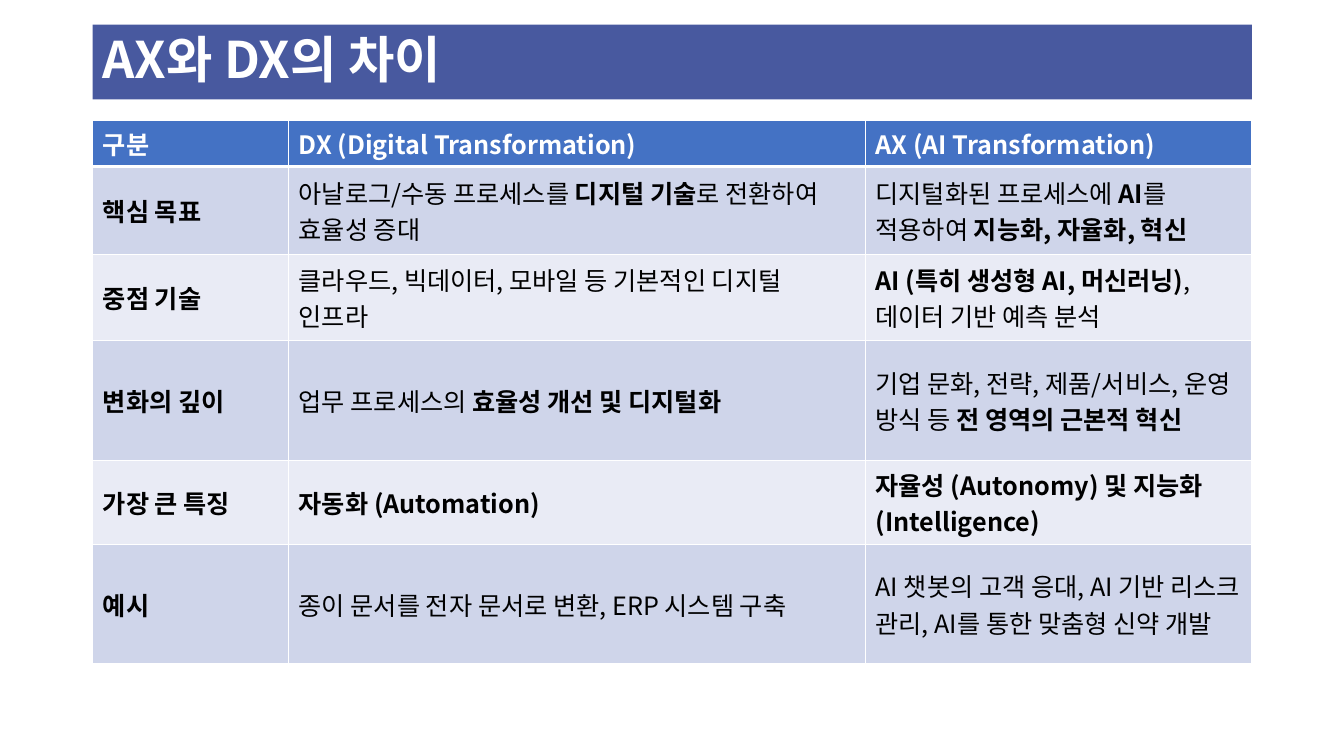
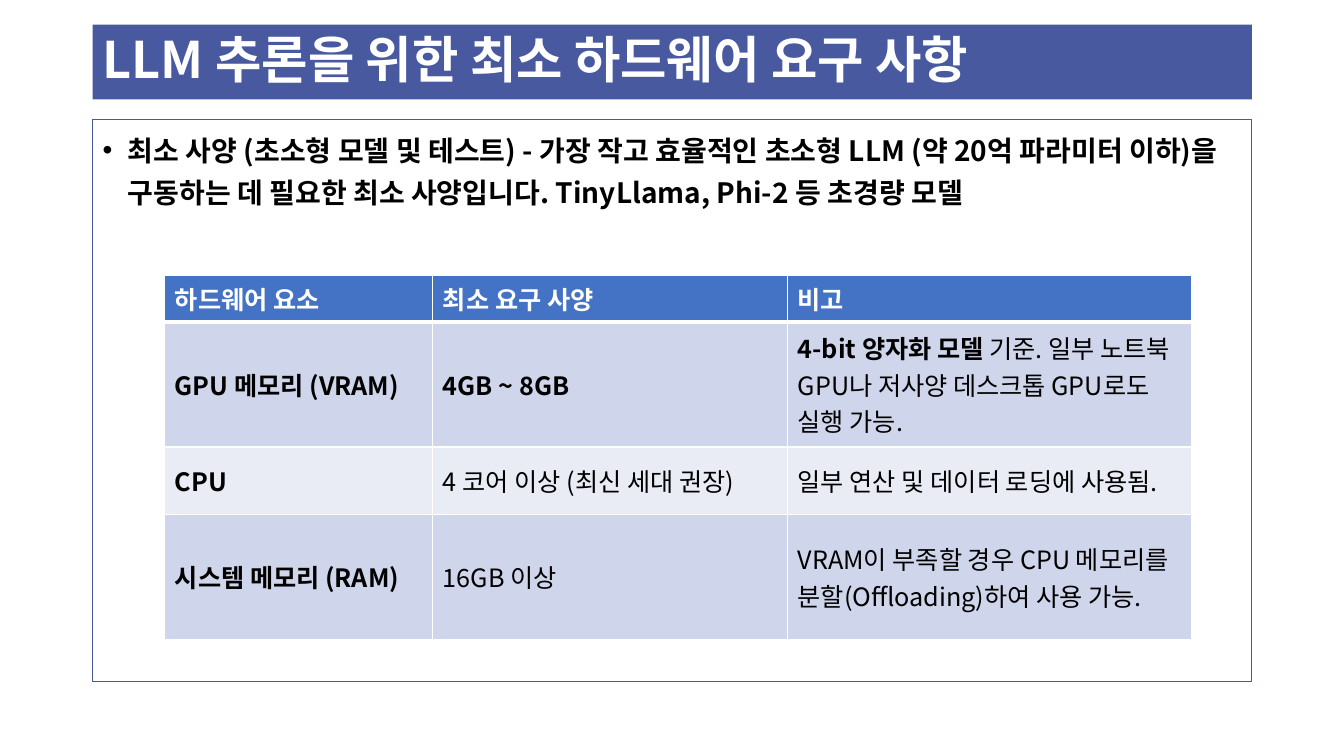
from lxml.etree import SubElement
from pptx import Presentation
from pptx.dml.color import RGBColor
from pptx.enum.shapes import MSO_SHAPE
from pptx.enum.text import MSO_ANCHOR, PP_ALIGN
from pptx.oxml import parse_xml
from pptx.oxml.ns import nsdecls, qn
from pptx.util import Pt

FONT = "Noto Sans CJK KR"
INDIGO, HEADER_BLUE = "48599F", "4472C4"
BANDS = ["CFD5EA", "E9EBF5"]
WHITE, BLACK = "FFFFFF", "000000"
LEFT, WIDTH = 66.24, 828
TITLE_TOP, TITLE_HEIGHT = 17.6, 53.4
CONTENT_TOP = 85.7


def paint(color_holder, hex_color):
    """Colour a fill, or the text of a font."""
    if hasattr(color_holder, "solid"):
        color_holder.solid()
        color_holder.fore_color.rgb = RGBColor.from_string(hex_color)
    else:
        color_holder.color.rgb = RGBColor.from_string(hex_color)


def write(paragraph, text, size, color, bold=False):
    """Add runs; each ** switches between plain and bold."""
    for piece in text.split("**"):
        if piece:
            run = paragraph.add_run()
            run.text = piece
            run.font.name = FONT
            run.font.size = Pt(size)
            run.font.bold = bold
            paint(run.font, color)
            SubElement(run.font._element, qn("a:ea"), typeface=FONT)
        bold = not bold


slides = [
    {
        "title": "AX와 DX의 차이",
        "table_at": (LEFT, CONTENT_TOP),
        "columns": [140, 412, 276],
        "rows": [33, 63, 61, 86, 60, 85],
        "cells": [
            ["**구분", "**DX (Digital Transformation)", "**AX (AI Transformation)"],
            ["**핵심 목표",
             "아날로그/수동 프로세스를 **디지털 기술**로 전환하여 효율성 증대",
             "디지털화된 프로세스에 **AI**를 적용하여 **지능화, 자율화, 혁신"],
            ["**중점 기술",
             "클라우드, 빅데이터, 모바일 등 기본적인 디지털 인프라",
             "**AI (특히 생성형 AI, 머신러닝)**, 데이터 기반 예측 분석"],
            ["**변화의 깊이",
             "업무 프로세스의 **효율성 개선 및 디지털화",
             "기업 문화, 전략, 제품/서비스, 운영 방식 등 **전 영역의 근본적 혁신"],
            ["**가장 큰 특징",
             "**자동화 (Automation)",
             "**자율성 (Autonomy) 및 지능화 (Intelligence)"],
            ["**예시",
             "종이 문서를 전자 문서로 변환, ERP 시스템 구축",
             "AI 챗봇의 고객 응대, AI 기반 리스크 관리, AI를 통한 맞춤형 신약 개발"],
        ],
    },
    {
        "title": "LLM 추론을 위한 최소 하드웨어 요구 사항",
        "summary": "최소 사양 (초소형 모델 및 테스트) - 가장 작고 효율적인 초소형 LLM "
                   "(약 20억 파라미터 이하)을 구동하는 데 필요한 최소 사양입니다. "
                   "TinyLlama, Phi-2 등 초경량 모델",
        "table_at": (117.7, 196.5),
        "columns": [191.5, 253.5, 288.5],
        "rows": [33, 89.5, 48, 89.5],
        "cells": [
            ["**하드웨어 요소", "**최소 요구 사양", "**비고"],
            ["**GPU 메모리 (VRAM)", "**4GB ~ 8GB",
             "**4-bit 양자화 모델** 기준. 일부 노트북 GPU나 저사양 데스크톱 GPU로도 실행 가능."],
            ["**CPU", "4 코어 이상 (최신 세대 권장)", "일부 연산 및 데이터 로딩에 사용됨."],
            ["**시스템 메모리 (RAM)", "16GB 이상",
             "VRAM이 부족할 경우 CPU 메모리를 분할(Offloading)하여 사용 가능."],
        ],
    },
]

prs = Presentation()
prs.slide_width, prs.slide_height = Pt(960), Pt(540)

for content in slides:
    slide = prs.slides.add_slide(prs.slide_layouts[6])

    # Title band
    band = slide.shapes.add_shape(MSO_SHAPE.RECTANGLE, Pt(LEFT), Pt(TITLE_TOP),
                                  Pt(WIDTH), Pt(TITLE_HEIGHT))
    band.shadow.inherit = False
    paint(band.fill, INDIGO)
    band.line.fill.background()
    band.text_frame.word_wrap = True
    band.text_frame.vertical_anchor = MSO_ANCHOR.MIDDLE
    title = band.text_frame.paragraphs[0]
    title.alignment = PP_ALIGN.LEFT
    title.line_spacing = 0.9
    write(title, content["title"], 36, WHITE, bold=True)

    # Framed summary with a bullet
    if "summary" in content:
        frame = slide.shapes.add_shape(MSO_SHAPE.RECTANGLE, Pt(LEFT), Pt(CONTENT_TOP),
                                       Pt(WIDTH), Pt(401))
        frame.shadow.inherit = False
        frame.fill.background()
        paint(frame.line.fill, INDIGO)
        frame.line.width = Pt(0.75)
        frame.text_frame.word_wrap = True
        frame.text_frame.vertical_anchor = MSO_ANCHOR.TOP
        summary = frame.text_frame.paragraphs[0]
        properties = summary._p.get_or_add_pPr()
        properties.set("marL", str(Pt(18)))
        properties.set("indent", str(-Pt(18)))
        SubElement(properties, qn("a:buFont"), typeface="Arial")
        SubElement(properties, qn("a:buChar"), char="•")
        summary.alignment = PP_ALIGN.LEFT
        summary.line_spacing = 1.25
        write(summary, content["summary"], 20, BLACK, bold=True)

    # Table
    columns, rows = content["columns"], content["rows"]
    left, top = content["table_at"]
    table = slide.shapes.add_table(len(rows), len(columns), Pt(left), Pt(top),
                                   Pt(sum(columns)), Pt(sum(rows))).table
    for column, width in zip(table.columns, columns):
        column.width = Pt(width)
    for r, (height, texts) in enumerate(zip(rows, content["cells"])):
        table.rows[r].height = Pt(height)
        for c, text in enumerate(texts):
            cell = table.cell(r, c)
            cell.vertical_anchor = MSO_ANCHOR.MIDDLE
            paint(cell.fill, BANDS[(r - 1) % 2] if r else HEADER_BLUE)
            write(cell.text_frame.paragraphs[0], text, 18, BLACK if r else WHITE)

            # White rules, thicker under the header
            borders = {"lnL": 1, "lnR": 1, "lnT": 3 if r == 1 else 1, "lnB": 1 if r else 3}
            for position, (side, weight) in enumerate(borders.items()):
                cell._tc.get_or_add_tcPr().insert(position, parse_xml(
                    f'<a:{side} {nsdecls("a")} w="{Pt(weight)}"><a:solidFill>'
                    f'<a:srgbClr val="{WHITE}"/></a:solidFill></a:{side}>'))

prs.save("out.pptx")
